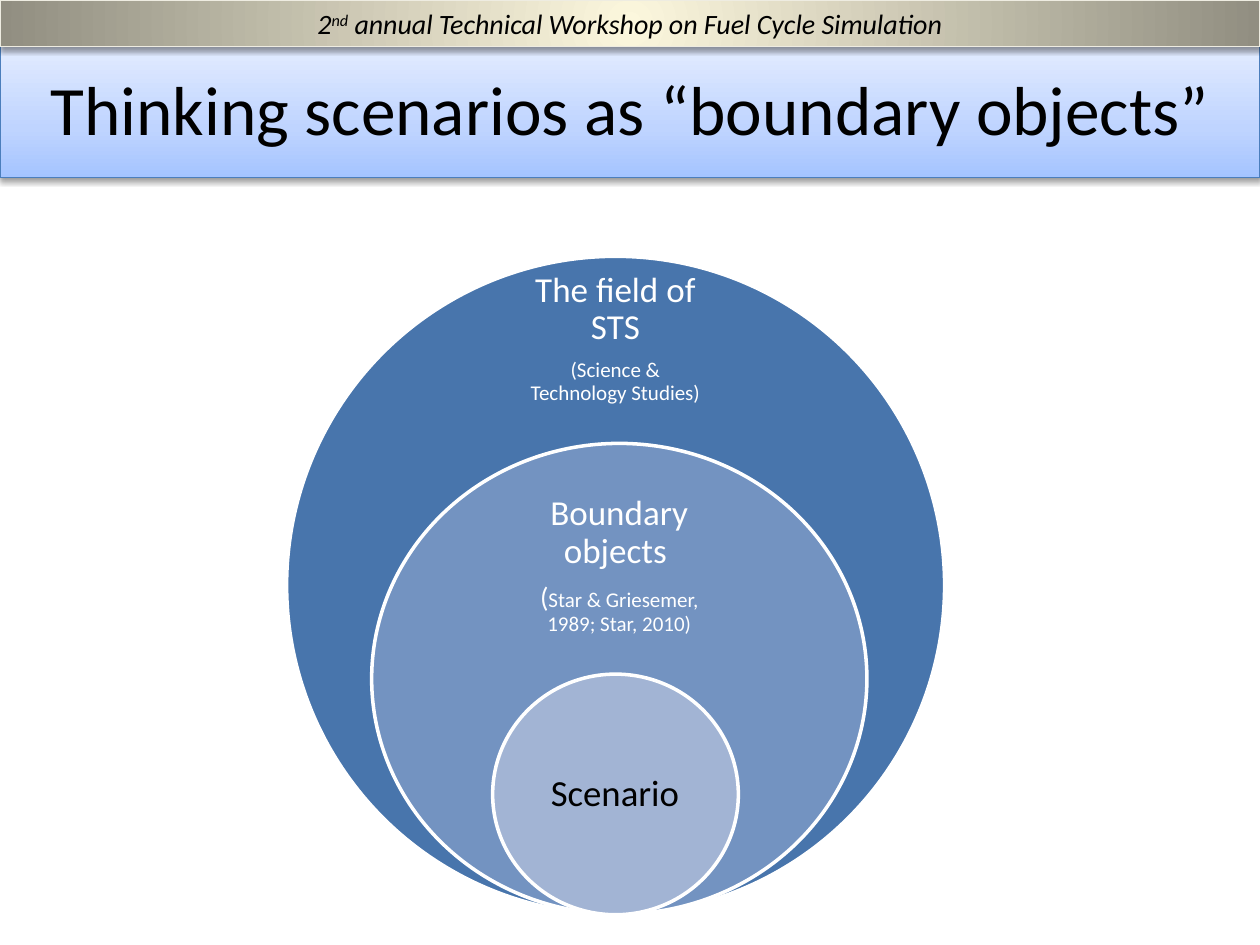
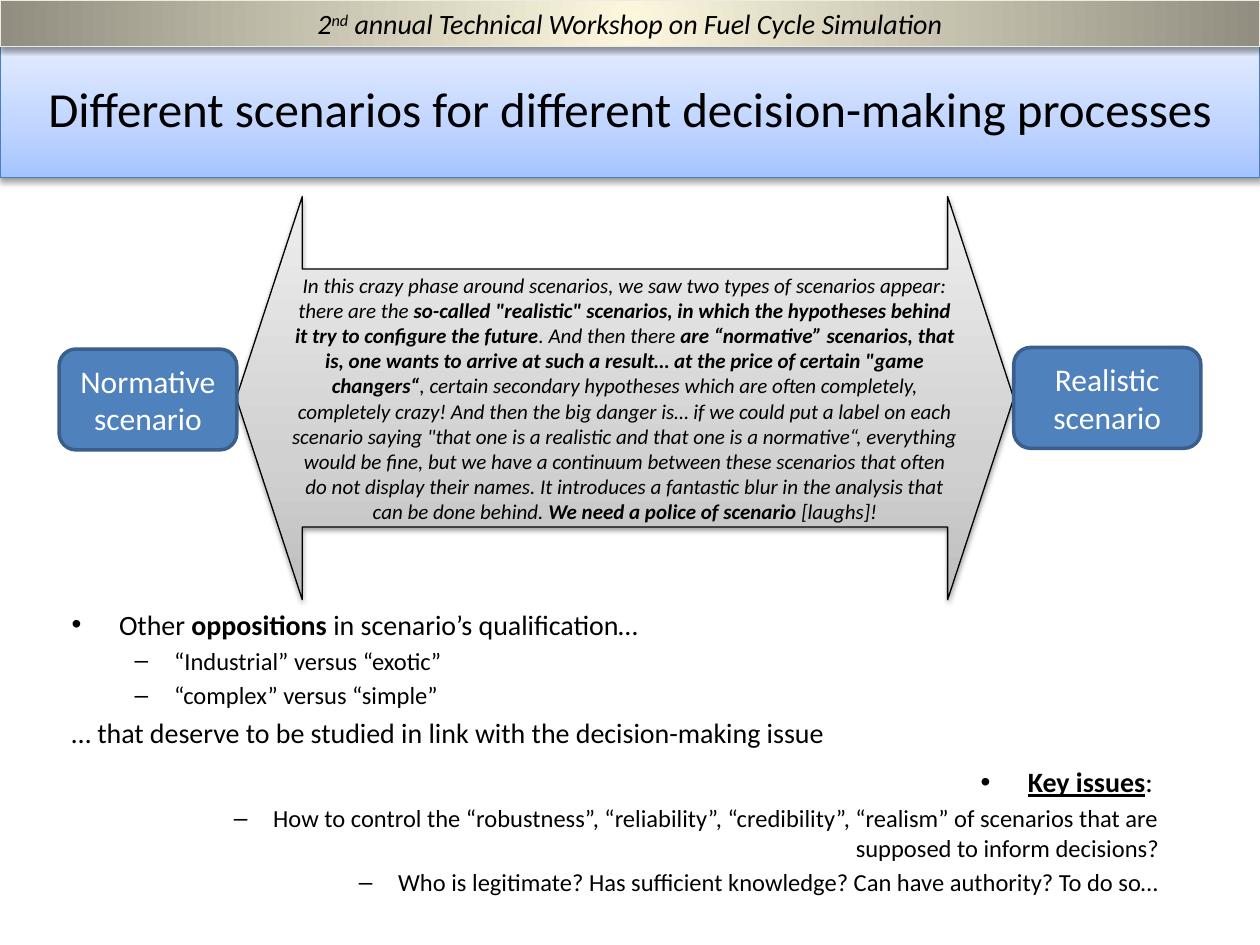
from dataclasses import dataclass, field
from typing import Optional

from lxml import etree
from pptx import Presentation
from pptx.dml.color import RGBColor
from pptx.enum import shapes, text
from pptx.oxml.ns import nsdecls, qn
from pptx.util import Pt

FONT = "Calibri"
COLOURS = {
    "black": "000000", "white": "FFFFFF",
    "title line": "4B7EBC", "band line": "EEECE1",
    "outer": "4875AC", "middle": "7393C1", "inner": "A2B4D4",
    "label": "4F81BD", "label line": "3A5F8C",
}
TITLE_STOPS = ((0, "A4C4FF"), (35, "BFD4FF"), (100, "E6EEFF"))
ARROW_STOPS = ((0, "BDBDBD"), (35, "D1D1D1"), (100, "EEEEEE"))
BAND_STOPS = ((0, "FCF7DD"), (100, "918E81"))
UPWARD = '<a:lin ang="16200000" scaled="0"/>'
FROM_CENTRE = ('<a:path path="circle"><a:fillToRect l="50000" t="50000" '
               'r="50000" b="50000"/></a:path>')
CENTRE, LEFT, RIGHT = (text.PP_ALIGN.CENTER, text.PP_ALIGN.LEFT,
                       text.PP_ALIGN.RIGHT)


@dataclass
class Span:
    text: str
    size: Optional[float] = None
    bold: bool = False
    underline: bool = False
    raised: bool = False


@dataclass
class Para:
    spans: list
    size: float
    level: int = 0
    bullet: bool = True


@dataclass
class Frame:
    left: float
    top: float
    width: float
    height: float


@dataclass
class Circle:
    frame: Frame
    fill: str
    label: Frame
    colour: str
    inset: float
    paras: list = field(default_factory=list)


# Shared helpers
def rgb(name: str) -> RGBColor:
    return RGBColor.from_string(COLOURS[name])


def place(shape, frame: Frame) -> None:
    shape.left, shape.top = Pt(frame.left), Pt(frame.top)
    shape.width, shape.height = Pt(frame.width), Pt(frame.height)


def add_shape(page, kind, frame: Frame):
    return page.shapes.add_shape(kind, Pt(frame.left), Pt(frame.top),
                                 Pt(frame.width), Pt(frame.height))


def outline(shape, colour: str, width: float) -> None:
    shape.line.color.rgb = rgb(colour)
    shape.line.width = Pt(width)
    shape.shadow.inherit = False


def paint(shape, fill: str, line: str) -> None:
    shape.fill.solid()
    shape.fill.fore_color.rgb = rgb(fill)
    outline(shape, line, 2)


def paint_raised(shape, stops: tuple, direction: str, line: str) -> None:
    """Gradient fill, thin line and a soft shadow below."""
    shape.fill.gradient()
    outline(shape, line, 0.75)
    properties = shape._element.spPr
    marks = "".join(f'<a:gs pos="{place_ * 1000}"><a:srgbClr val="{colour}"/></a:gs>'
                    for place_, colour in stops)
    gradient = etree.fromstring(
        f'<a:gradFill {nsdecls("a")} rotWithShape="1"><a:gsLst>{marks}</a:gsLst>'
        f'{direction}</a:gradFill>')
    properties.replace(properties.find(qn("a:gradFill")), gradient)
    properties.find(qn("a:effectLst")).append(etree.fromstring(
        f'<a:outerShdw {nsdecls("a")} blurRad="{Pt(3.1)}" dist="{Pt(1.6)}" '
        'dir="5400000" rotWithShape="0"><a:srgbClr val="000000">'
        '<a:alpha val="38000"/></a:srgbClr></a:outerShdw>'))


def write_spans(para, spans: list, size: float, colour: str = "black",
                align=CENTRE, italic: bool = False) -> None:
    para.alignment = align
    for span in spans:
        run = para.add_run()
        run.text = span.text
        font = run.font
        font.name, font.size = FONT, Pt(span.size or size)
        font.bold, font.italic, font.underline = span.bold, italic, span.underline
        font.color.rgb = rgb(colour)
        if span.raised:
            run._r.get_or_add_rPr().set("baseline", "30000")


def next_para(frame, index: int):
    return frame.paragraphs[0] if index == 0 else frame.add_paragraph()


# Title and workshop band, on every page
def start_page(deck, layout: int, title: str, size: float):
    page = deck.slides.add_slide(deck.slide_layouts[layout])
    heading = page.shapes.title
    place(heading, Frame(0, 21.6, 720, 79.92))
    paint_raised(heading, TITLE_STOPS, UPWARD, "title line")
    heading.text_frame.auto_size = text.MSO_AUTO_SIZE.NONE
    heading.text_frame.vertical_anchor = text.MSO_ANCHOR.MIDDLE
    write_spans(heading.text_frame.paragraphs[0], [Span(title)], size)

    band = add_shape(page, shapes.MSO_SHAPE.RECTANGLE, Frame(0, 0, 720, 26.64))
    paint_raised(band, BAND_STOPS, FROM_CENTRE, "band line")
    write_spans(band.text_frame.paragraphs[0],
                [Span("2"), Span("nd", raised=True),
                 Span(" annual Technical Workshop on Fuel Cycle Simulation")],
                16, italic=True)
    return page


def draw_circle(page, circle: Circle) -> None:
    disc = add_shape(page, shapes.MSO_SHAPE.OVAL, circle.frame)
    paint(disc, circle.fill, "white")
    label = circle.label
    box = page.shapes.add_textbox(Pt(label.left), Pt(label.top),
                                  Pt(label.width), Pt(label.height))
    frame = box.text_frame
    frame.word_wrap = True
    frame.vertical_anchor = text.MSO_ANCHOR.MIDDLE
    frame.margin_left = frame.margin_right = Pt(circle.inset)
    frame.margin_top = frame.margin_bottom = Pt(circle.inset)
    for index, content in enumerate(circle.paras):
        para = next_para(frame, index)
        write_spans(para, content.spans, content.size, circle.colour)
        para.line_spacing = 0.9
        para.space_after = Pt(round(content.size * 0.35, 1))


def fill_list(box, frame: Frame, paras: list, align) -> None:
    place(box, frame)
    box.text_frame.auto_size = text.MSO_AUTO_SIZE.NONE
    for index, content in enumerate(paras):
        para = next_para(box.text_frame, index)
        para.level = content.level
        write_spans(para, content.spans, content.size, align=align)
        para.space_before = Pt(round(content.size * 0.2, 1))
        margin, hang = (58.5, 22.5) if content.level else (27, 27)
        if not content.bullet:
            margin = hang = 22.5
        properties = para._p.get_or_add_pPr()
        properties.set("marL", str(Pt(margin)))
        properties.set("indent", str(-Pt(hang)))
        if not content.bullet:
            etree.SubElement(properties, qn("a:buNone"))


def draw_label(page, frame: Frame, words: str) -> None:
    label = add_shape(page, shapes.MSO_SHAPE.ROUNDED_RECTANGLE, frame)
    paint(label, "label", "label line")
    write_spans(label.text_frame.paragraphs[0], [Span(words)], 18, "white")


deck = Presentation()
deck.slide_width, deck.slide_height = Pt(720), Pt(540)

# Page 1: nested circles
page = start_page(deck, 5, "Thinking scenarios as “boundary objects”", 39.6)
CIRCLES = [
    Circle(Frame(163.8, 146.5, 376, 376), "outer",
           Frame(285.8, 164.9, 131.8, 56.9), "white", 11.5,
           [Para([Span("The field of STS")], 20),
            Para([Span("(Science & Technology Studies)")], 12)]),
    Circle(Frame(212.4, 253.4, 283, 269), "middle",
           Frame(288, 298, 131.8, 50.4), "white", 10,
           [Para([Span("Boundary objects ")], 20),
            Para([Span("(", 16), Span("Star & Griesemer, 1989; Star, 2010)")], 12)]),
    Circle(Frame(281.5, 385.2, 140.4, 137.5), "inner",
           Frame(301.7, 419.8, 99.4, 69.1), "black", 11.5,
           [Para([Span("Scenario")], 21)]),
]
for circle in CIRCLES:
    draw_circle(page, circle)

# Page 2: arrow between two kinds of scenario
page = start_page(
    deck, 3, "Different scenarios for different decision-making processes", 28)
arrow = add_shape(page, shapes.MSO_SHAPE.LEFT_RIGHT_ARROW,
                  Frame(135, 112.3, 444.3, 230.4))
arrow.adjustments[0], arrow.adjustments[1] = 0.64, 0.164
paint_raised(arrow, ARROW_STOPS, UPWARD, "black")
QUOTE = [
    Span("In this crazy phase around scenarios, we saw two types of scenarios "
         "appear: there are the "),
    Span("so-called \"realistic\" scenarios, in which the hypotheses behind it "
         "try to configure the future", bold=True),
    Span(". And then there "),
    Span("are “normative” scenarios, that is, one wants to arrive at such a "
         "result… at the price of certain \"game changers“", bold=True),
    Span(", certain secondary hypotheses which are often completely, completely "
         "crazy! And then the big danger is… if we could put a label on each "
         "scenario saying \"that one is a realistic and that one is a "
         "normative“, everything would be fine, but we have a continuum between "
         "these scenarios that often do not display their names. It introduces "
         "a fantastic blur in the analysis that can be done behind. "),
    Span("We need a police of scenario ", bold=True),
    Span("[laughs]!"),
]
write_spans(arrow.text_frame.paragraphs[0], QUOTE, 12, italic=True)
draw_label(page, Frame(33.8, 199.5, 101.5, 57.6), "Normative scenario")
draw_label(page, Frame(579.3, 198.6, 106.9, 57.6), "Realistic scenario")

# Page 2: the two lists
OPPOSITIONS = [
    Para([Span("Other"), Span(" oppositions ", bold=True),
          Span("in scenario’s qualification…")], 16),
    Para([Span("“Industrial” versus “exotic”")], 14, level=1),
    Para([Span("“complex” versus “simple”")], 14, level=1),
    Para([Span("… that deserve to be studied in link with the "
               "decision-making issue")], 16, bullet=False),
]
KEY_ISSUES = [
    Para([Span("Key issues", bold=True, underline=True), Span(": ")], 16),
    Para([Span("How to control the “robustness”, “reliability”, “credibility”, "
               "“realism” of scenarios that are supposed to inform decisions?")],
         14, level=1),
    Para([Span("Who is legitimate? Has sufficient knowledge? Can have "
               "authority? To do so…")], 14, level=1),
]
fill_list(page.placeholders[1], Frame(33.8, 343.4, 596.2, 84.2), OPPOSITIONS, LEFT)
fill_list(page.placeholders[2], Frame(73.4, 433.4, 596.2, 84.2), KEY_ISSUES, RIGHT)

deck.save("out.pptx")
